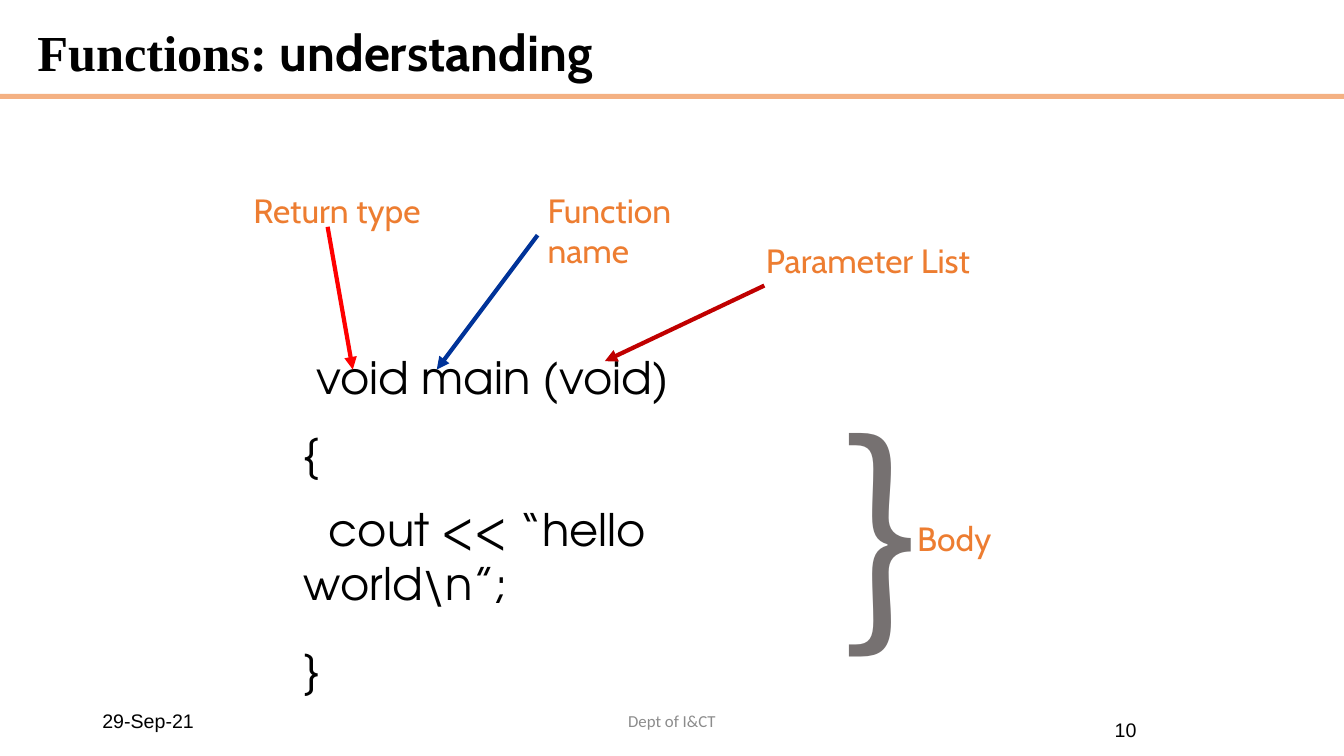
"""Build a slide that labels the parts of a C++ function."""
from lxml.etree import SubElement
from pptx import Presentation
from pptx.dml.color import RGBColor
from pptx.enum.shapes import MSO_CONNECTOR, MSO_SHAPE
from pptx.enum.text import MSO_ANCHOR, MSO_AUTO_SIZE, PP_ALIGN
from pptx.oxml.ns import qn
from pptx.util import Pt

COLORS = {
    "black": "000000",
    "label": "ED7D31",
    "rule": "F4B183",
    "brace": "767171",
    "footer": "8C8C8C",
    "return": "FF0000",
    "name": "003399",
    "parameter": "C00000",
}
TITLE = [("Functions: ", "Times New Roman"), ("understanding", "Cabin")]
TITLE_BOX = (19.5, 11, 875, 57)
RULE_BOX = (0, 67, 960, 3.6)
CODE = [(" void main (void)", 0), ("{", 16), ("  cout << “hello world\\n”;", 16), ("}", 23)]
CODE_BOX = (210, 246, 408, 235.5)
LABELS = [
    ("Return type", (174, 132, 186, 36.5)),
    ("Function name", (384, 132, 162, 65.5)),
    ("Parameter List", (540, 168, 198, 36.5)),
    ("Body", (648, 366.5, 120, 36.5)),
]
ARROWS = [
    ("return", (234, 162, 252, 264)),
    ("name", (384, 168, 312, 264)),
    ("parameter", (546, 204, 432, 258)),
]
BRACE_BOX = (594, 271.5, 66, 208)
FOOTERS = [
    ("29-Sep-21", (66, 500.5, 216, 28.75), "Arial", 14, "black", PP_ALIGN.LEFT),
    ("10", (690, 502.5, 228, 37.5), "Arial", 14, "black", PP_ALIGN.CENTER),
    ("Dept of I&CT", (318, 500.5, 324, 28.75), "Calibri", 12, "footer", PP_ALIGN.CENTER),
]


def points(values):
    return [Pt(value) for value in values]


def format_run(run, font, size, color, bold=False):
    run.font.name = font
    run.font.size = Pt(size)
    run.font.bold = bold
    run.font.color.rgb = RGBColor.from_string(COLORS[color])


def add_text(slide, text, *, box, font, size, color="black",
             align=PP_ALIGN.LEFT, anchor=MSO_ANCHOR.TOP):
    """Place text, given as one string or as (line, space before) pairs."""
    frame = slide.shapes.add_textbox(*points(box)).text_frame
    frame.word_wrap = True
    frame.vertical_anchor = anchor
    lines = [(text, 0)] if isinstance(text, str) else text
    for index, (line, space) in enumerate(lines):
        paragraph = frame.add_paragraph() if index else frame.paragraphs[0]
        paragraph.alignment = align
        paragraph.space_before = Pt(space)
        run = paragraph.add_run()
        run.text = line
        format_run(run, font, size, color)


def add_title(slide):
    title = slide.shapes.title
    title.left, title.top, title.width, title.height = points(TITLE_BOX)
    frame = title.text_frame
    frame.auto_size = MSO_AUTO_SIZE.NONE
    frame.vertical_anchor = MSO_ANCHOR.MIDDLE
    heading = frame.paragraphs[0]
    heading.alignment = PP_ALIGN.LEFT
    heading.line_spacing = 0.9
    for text, font in TITLE:
        run = heading.add_run()
        run.text = text
        format_run(run, font, 36, "black", bold=True)


def add_rule(slide):
    rule = slide.shapes.add_shape(MSO_SHAPE.RECTANGLE, *points(RULE_BOX))
    rule.shadow.inherit = False
    rule.fill.solid()
    rule.fill.fore_color.rgb = RGBColor.from_string(COLORS["rule"])
    rule.line.fill.background()


def add_arrow(slide, color, ends):
    arrow = slide.shapes.add_connector(MSO_CONNECTOR.STRAIGHT, *points(ends))
    arrow.line.width = Pt(3)
    arrow.line.color.rgb = RGBColor.from_string(COLORS[color])
    SubElement(arrow.line._get_or_add_ln(), qn("a:tailEnd"), type="triangle")
    SubElement(arrow._element.spPr, qn("a:effectLst"))


def main():
    deck = Presentation()
    deck.slide_width, deck.slide_height = Pt(960), Pt(540)
    slide = deck.slides.add_slide(deck.slide_layouts[5])
    add_rule(slide)
    add_title(slide)
    add_text(slide, CODE, box=CODE_BOX, font="TeX Gyre Adventor", size=32)
    for label, box in LABELS:
        add_text(slide, label, box=box, font="Cabin", size=24, color="label")
    for color, ends in ARROWS:
        add_arrow(slide, color, ends)
    add_text(slide, "}", box=BRACE_BOX, font="Noto Sans CJK JP", size=166, color="brace")
    for text, box, font, size, color, align in FOOTERS:
        add_text(slide, text, box=box, font=font, size=size, color=color,
                 align=align, anchor=MSO_ANCHOR.MIDDLE)
    deck.save("out.pptx")


if __name__ == "__main__":
    main()
